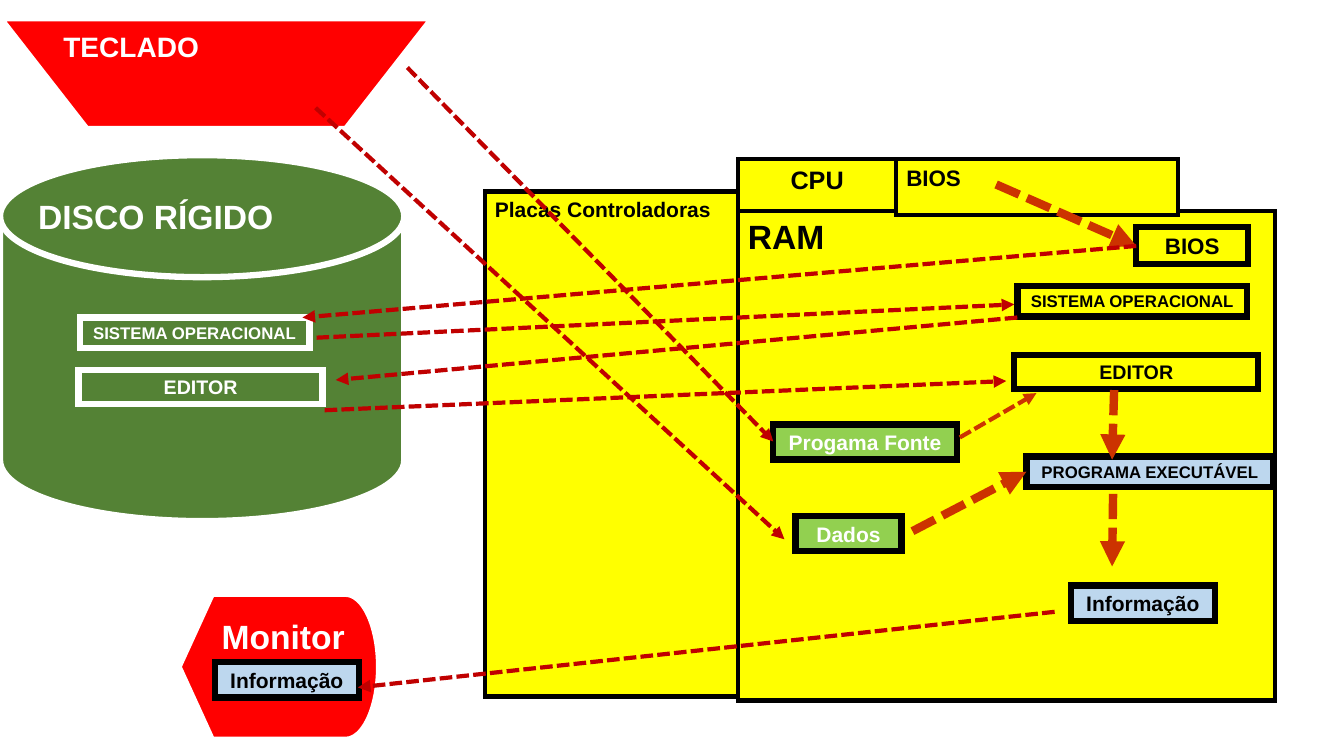
from lxml import etree
from pptx import Presentation
from pptx import util as u
from pptx.dml.color import RGBColor
from pptx.enum import dml, shapes, text
from pptx.oxml import ns

BLACK, WHITE, YELLOW, RED = "000000", "FFFFFF", "FFFF00", "FF0000"
GREEN, LIME, BLUE = "548235", "92D050", "BDD7EE"
INTERNAL, EXTERNAL = "CC3300", "C00000"
KIND = shapes.MSO_SHAPE


def paint(color_format, color):
    color_format.rgb = RGBColor.from_string(color)


def write(shape, words, size=15, color=BLACK, align=text.PP_ALIGN.LEFT):
    frame = shape.text_frame
    frame.word_wrap = True
    frame.vertical_anchor = text.MSO_ANCHOR.TOP
    paragraph = frame.paragraphs[0]
    paragraph.alignment = align
    run = paragraph.add_run()
    run.text = words
    run.font.name = "Arial"
    run.font.size = u.Pt(size)
    run.font.bold = True
    paint(run.font.color, color)


def block(slide, box, fill=None, line=None, weight=4.5, kind=KIND.RECTANGLE):
    shape = slide.shapes.add_shape(kind, *map(u.Inches, box))
    shape.shadow.inherit = False
    if fill:
        shape.fill.solid()
        paint(shape.fill.fore_color, fill)
    else:
        shape.fill.background()
    if line:
        paint(shape.line.color, line)
        shape.line.width = u.Pt(weight)
        etree.SubElement(shape.line._get_or_add_ln(), ns.qn("a:miter"), lim="800000")
    else:
        shape.line.fill.background()
    return shape


def labels(slide, box, rows, line):
    left, top = box[:2]
    for words, dx, dy, width, height, fill, size, color in rows:
        label = block(slide, (left + dx, top + dy, width, height), fill, line)
        write(label, words, size=size, color=color, align=text.PP_ALIGN.CENTER)


def arrow(slide, start, end, color, weight):
    link = slide.shapes.add_connector(
        shapes.MSO_CONNECTOR.STRAIGHT, *map(u.Inches, start + end))
    paint(link.line.color, color)
    link.line.width = u.Pt(weight)
    link.line.dash_style = dml.MSO_LINE.SQUARE_DOT
    properties = link.line._get_or_add_ln()
    etree.SubElement(properties, ns.qn("a:tailEnd"), type="triangle")
    etree.SubElement(link._element.spPr, ns.qn("a:effectLst"))


def board(slide, box):
    left, top, width, height = box
    split, bios_left = 2.51, 4.08
    center, start = text.PP_ALIGN.CENTER, text.PP_ALIGN.LEFT
    for words, dx, dy, w, h, size, align in (
        ("CPU", split, 0, bios_left - split, 0.6, 18, center),
        ("Placas Controladoras", 0, 0.32, split, 5.01, 15, start),
        ("RAM", split, 0.51, width - split, height - 0.51, 24, start),
        ("BIOS", bios_left, 0, 2.79, 0.55, 16, start),
    ):
        part = block(slide, (left + dx, top + dy, w, h), YELLOW, BLACK, 3)
        write(part, words, size=size, align=align)


def memory(slide, box):
    labels(slide, box, (
        ("BIOS", 3.95, 0.16, 1.11, 0.37, None, 16, BLACK),
        ("SISTEMA OPERACIONAL", 2.77, 0.75, 2.28, 0.3, None, 12, BLACK),
        ("EDITOR", 2.74, 1.43, 2.42, 0.34, None, 14, BLACK),
        ("PROGRAMA EXECUTÁVEL", 2.86, 2.44, 2.45, 0.3, BLUE, 12, BLACK),
        ("Informação", 3.3, 3.72, 1.43, 0.35, BLUE, 15, BLACK),
        ("Progama Fonte", 0.35, 2.12, 1.82, 0.35, LIME, 15, WHITE),
        ("Dados", 0.57, 3.03, 1.05, 0.35, LIME, 15, WHITE),
    ), BLACK)


def hard_disk(slide, box):
    left, top = box[:2]
    block(slide, box, GREEN, WHITE, kind=KIND.FLOWCHART_MAGNETIC_DISK)
    caption = block(slide, (left + 0.28, top + 0.35, 2.76, 0.5), GREEN)
    write(caption, "DISCO RÍGIDO", size=24, color=WHITE)
    labels(slide, box, (
        ("EDITOR", 0.78, 2.13, 2.42, 0.34, None, 14, WHITE),
        ("SISTEMA OPERACIONAL", 0.79, 1.61, 2.28, 0.3, None, 12, WHITE),
    ), WHITE)


def keyboard(slide, box):
    left, top = box[:2]
    block(slide, box, RED, WHITE, kind=KIND.FLOWCHART_MANUAL_OPERATION)
    caption = block(slide, (left + 0.53, top + 0.06, 2.69, 0.44), RED)
    write(caption, "TECLADO", size=20, color=WHITE)


def monitor(slide, box):
    left, top = box[:2]
    block(slide, box, RED, WHITE, kind=KIND.FLOWCHART_DISPLAY)
    caption = block(slide, (left + 0.33, top + 0.17, 1.45, 0.5), RED)
    write(caption, "Monitor", size=24, color=WHITE)
    labels(slide, box, (
        ("Informação", 0.36, 0.68, 1.43, 0.35, BLUE, 15, BLACK),
    ), BLACK)


def flows(slide, box):
    left, top = box[:2]
    for x1, y1, x2, y2, color, weight in (
        (9.88, 1.83, 11.27, 2.44, INTERNAL, 6),
        (9.52, 4.34, 10.28, 3.9, INTERNAL, 3),
        (11.05, 3.87, 11.03, 4.56, INTERNAL, 6),
        (9.05, 5.27, 10.18, 4.68, INTERNAL, 6),
        (11.04, 4.9, 11.03, 5.62, INTERNAL, 6),
        (11.27, 2.44, 3, 3.15, EXTERNAL, 3),
        (3.14, 3.35, 10.06, 3.02, EXTERNAL, 3),
        (10.09, 3.15, 3.33, 3.77, EXTERNAL, 3),
        (3.22, 4.07, 9.98, 3.78, EXTERNAL, 3),
        (4.04, 0.67, 7.67, 4.38, EXTERNAL, 3),
        (3.13, 1.07, 7.78, 5.35, EXTERNAL, 3),
        (10.46, 6.07, 3.55, 6.82, EXTERNAL, 3),
    ):
        arrow(slide, (left + x1, top + y1), (left + x2, top + y2), color, weight)


def main():
    deck = Presentation()
    deck.slide_width, deck.slide_height = u.Inches(13.33), u.Inches(7.5)
    slide = deck.slides.add_slide(deck.slide_layouts[6])
    board(slide, (4.81, 1.58, 7.84, 5.37))
    hard_disk(slide, (0, 1.54, 4.01, 3.63))
    keyboard(slide, (0, 0.18, 4.29, 1.1))
    monitor(slide, (1.77, 5.89, 1.99, 1.45))
    memory(slide, (7.32, 2.09, 5.33, 4.86))
    flows(slide, (0, 0, 13.33, 7.5))
    deck.save("out.pptx")


if __name__ == "__main__":
    main()
